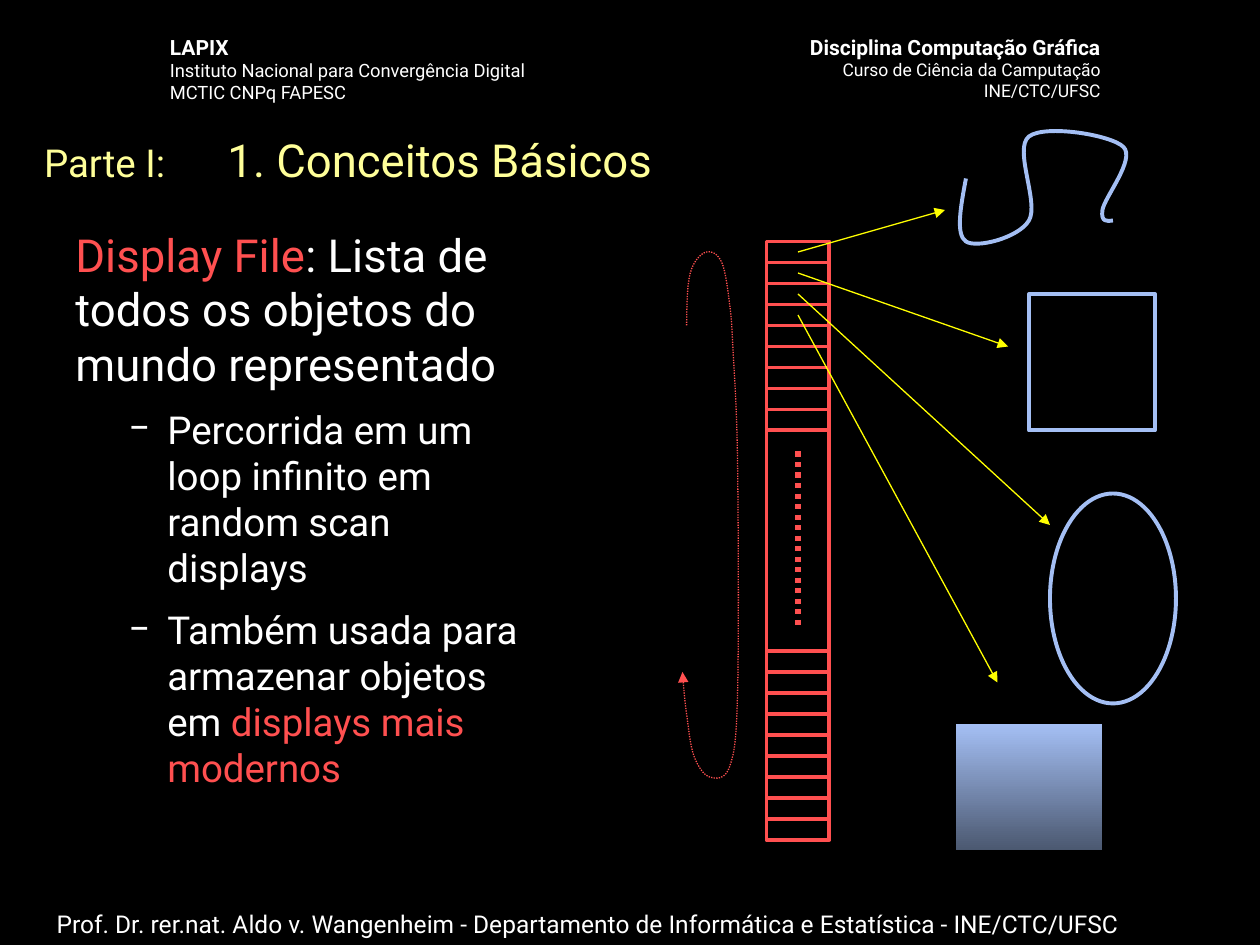
from dataclasses import dataclass
from lxml.etree import SubElement
from pptx import Presentation
from pptx.dml.color import RGBColor as RGB
from pptx.enum.dml import MSO_LINE as Dash
from pptx.enum.shapes import MSO_CONNECTOR as Conn, MSO_SHAPE as Shape
from pptx.enum.text import MSO_ANCHOR as Anchor, MSO_AUTO_SIZE as Fit, PP_ALIGN as Align
from pptx.oxml.ns import qn
from pptx.util import Inches, Pt

CELL = Inches(1) / 12


@dataclass(frozen=True)
class Theme:
    font: str = "Roboto"
    back: str = "000000"
    text: str = "FFFFFF"
    title: str = "FFFF99"
    accent: str = "FF5050"
    arrow: str = "FFFF00"
    figure: str = "A4BFF4"
    shade: str = "4B5870"
    lead: float = 26
    point: float = 22
    footer: float = 14
    head: float = 12
    sub_left: float = 10.5
    sub_right: float = 10
    thin: float = 0.75
    dots: float = 3
    outline: float = 2.25


T = Theme()


def emu(*cells):
    return [round(c * CELL) for c in cells]


def rgb(color):
    return RGB.from_string(color)


def add_runs(p, *parts):
    for text, size, color, bold in parts:
        r = p.add_run()
        r.text = text
        f = r.font
        f.name, f.size, f.bold = T.font, Pt(size), bold
        f.color.rgb = rgb(color)


def indent(p, left, first):
    pPr = p._p.get_or_add_pPr()
    pPr.set("marL", str(Inches(left)))
    pPr.set("indent", str(Inches(first)))
    return pPr


def text_frame(slide, box, wrap=True):
    tf = slide.shapes.add_textbox(*emu(*box)).text_frame
    tf.word_wrap = wrap
    return tf


def style_line(sp, color, width, dash=None, arrow=False):
    sp.line.color.rgb = rgb(color)
    sp.line.width = Pt(width)
    if dash:
        sp.line.dash_style = dash
    if arrow:
        SubElement(sp.line._get_or_add_ln(), qn("a:tailEnd"), type="triangle")


def add_outline(slide, kind, box, color):
    sp = slide.shapes.add_shape(kind, *emu(*box))
    sp.shadow.inherit = False
    sp.fill.background()
    style_line(sp, color, T.outline)


def add_line(slide, start, end, color, width, **style):
    cn = slide.shapes.add_connector(Conn.STRAIGHT, *emu(*start, *end))
    style_line(cn, color, width, **style)
    SubElement(cn._element.spPr, qn("a:effectLst"))


def bezier_points(points):
    last = len(points) - 1

    def tangent(i):
        return [(b - a) / 6 for a, b in zip(points[i - 1], points[i + 1])]

    def middle(a, b):
        return [(m + n) / 2 for m, n in zip(a, b)]

    for i in range(last):
        a, d = points[i], points[i + 1]
        b = [v + t for v, t in zip(a, tangent(i))] if i else None
        c = [v - t for v, t in zip(d, tangent(i + 1))] if i + 1 < last else None
        yield from (b or middle(a, c), c or middle(b, d), d)


def add_curve(slide, box, points, color, width, **style):
    x, y = box[:2]
    points = [(x + px, y + py) for px, py in points]
    fb = slide.shapes.build_freeform(*emu(*points[0]))
    fb.add_line_segments([emu(*pt) for pt in bezier_points(points)], close=False)
    sp = fb.convert_to_shape()
    outline = sp._element.find(".//" + qn("a:path"))
    segments = outline.findall(qn("a:lnTo"))
    for i in range(0, len(segments), 3):
        curve = SubElement(outline, qn("a:cubicBezTo"))
        for seg in segments[i:i + 3]:
            curve.append(seg[0])
            outline.remove(seg)
    sp.shadow.inherit = False
    sp.fill.background()
    style_line(sp, color, width, **style)


def header(slide, box, lines, size, align):
    tf = text_frame(slide, box, wrap=False)
    for i, line in enumerate(lines):
        p = tf.add_paragraph() if i else tf.paragraphs[0]
        p.alignment = align
        add_runs(p, (line, size if i else T.head, T.text, i == 0))


def heading(slide, box):
    sp = slide.shapes.title
    sp.left, sp.top, sp.width, sp.height = emu(*box)
    tf = sp.text_frame
    tf.vertical_anchor, tf.auto_size = Anchor.TOP, Fit.NONE
    p = tf.paragraphs[0]
    p.alignment = Align.LEFT
    indent(p, 0.38, -0.38)
    add_runs(p, ("Parte I: \t ", T.point, T.title, False),
             ("1. Conceitos Básicos", T.lead, T.title, False))


def explanation(slide, box):
    tf = text_frame(slide, box)
    add_runs(tf.paragraphs[0], ("Display File", T.lead, T.accent, False),
             (": Lista de todos os objetos do mundo representado", T.lead, T.text, False))
    points = [
        [("Percorrida em um loop infinito em random scan displays", T.text)],
        [("Também usada para armazenar objetos em ", T.text), ("displays mais modernos", T.accent)],
    ]
    for point in points:
        p = tf.add_paragraph()
        p.level = 1
        p.space_before = Pt(8.8)
        pPr = indent(p, 0.73, -0.31)
        bu = SubElement(pPr, qn("a:buClr"))
        SubElement(bu, qn("a:srgbClr"), val=T.text)
        SubElement(pPr, qn("a:buFont"), typeface=T.font)
        SubElement(pPr, qn("a:buChar"), char="−")
        add_runs(p, *[(text, T.point, color, False) for text, color in point])


def display_list(slide, box):
    x, y, w, h = box
    heights = {4: 49, 9: 29}
    for i in range(10):
        add_outline(slide, Shape.RECTANGLE, (x, y + 2 * i, w, heights.get(i, 39)), T.accent)
    mid = x + w / 2
    add_line(slide, (mid, y + 20), (mid, y + 37), T.accent, T.dots, dash=Dash.ROUND_DOT)


def refresh_loop(slide, box):
    points = [(0.4, 7), (0.75, 2), (2.25, 0), (3.75, 1), (4.5, 5), (4.8, 9), (5.25, 20),
              (5.25, 42), (4.5, 49), (2.6, 50), (1.1, 48), (0.4, 44), (0, 40)]
    add_curve(slide, box, points, T.accent, T.thin, dash=Dash.ROUND_DOT, arrow=True)


def pointers(slide, box):
    x, y = box[:2]
    for i, (dx, dy) in enumerate([(14, -4), (20, 9), (24, 26), (19, 41)]):
        add_line(slide, (x, y + 2 * i), (x + dx, y + dy), T.arrow, T.thin, arrow=True)


def objects(slide, box):
    x, y = box[:2]
    add_curve(slide, box, [(1, 5), (1, 11), (7, 9), (7, 1), (16, 2), (14, 8), (15, 9)],
              T.figure, T.outline)
    add_outline(slide, Shape.RECTANGLE, (x + 7, y + 16, 12, 13), T.figure)
    add_outline(slide, Shape.OVAL, (x + 9, y + 35, 12, 20), T.figure)
    sp = slide.shapes.add_shape(Shape.RECTANGLE, *emu(x, y + 57, 14, 12))
    sp.shadow.inherit = False
    sp.line.fill.background()
    sp.fill.gradient()
    sp.fill.gradient_angle = 270
    for stop, color, pos in zip(sp.fill.gradient_stops, (T.figure, T.shade), (0, 1)):
        stop.color.rgb = rgb(color)
        stop.position = pos


def footer(slide, box):
    p = text_frame(slide, box).paragraphs[0]
    p.alignment = Align.CENTER
    add_runs(p, ("Prof. Dr. rer.nat. Aldo v. Wangenheim - Departamento de Informática"
                 " e Estatística - INE/CTC/UFSC", T.footer, T.text, False))


def main():
    prs = Presentation()
    prs.slide_width, prs.slide_height = Inches(10), Inches(7.5)
    s = prs.slides.add_slide(prs.slide_layouts[5])
    s.background.fill.solid()
    s.background.fill.fore_color.rgb = rgb(T.back)
    header(s, (73, 2.65, 33, 7.6),
           ["Disciplina Computação Gráfica", "Curso de Ciência da Camputação", "INE/CTC/UFSC"],
           T.sub_right, Align.RIGHT)
    header(s, (15, 2.65, 38.5, 7.8),
           ["LAPIX", "Instituto Nacional para Convergência Digital", "MCTIC CNPq FAPESC"],
           T.sub_left, Align.LEFT)
    footer(s, (3, 86, 106, 6.7))
    explanation(s, (6, 21, 45, 62))
    heading(s, (3, 12, 112, 8))
    display_list(s, (73, 23, 6, 57))
    pointers(s, (76, 24, 24, 41))
    objects(s, (91, 12, 21, 69))
    refresh_loop(s, (65, 24, 5.25, 50))
    prs.save("out.pptx")


if __name__ == "__main__":
    main()
